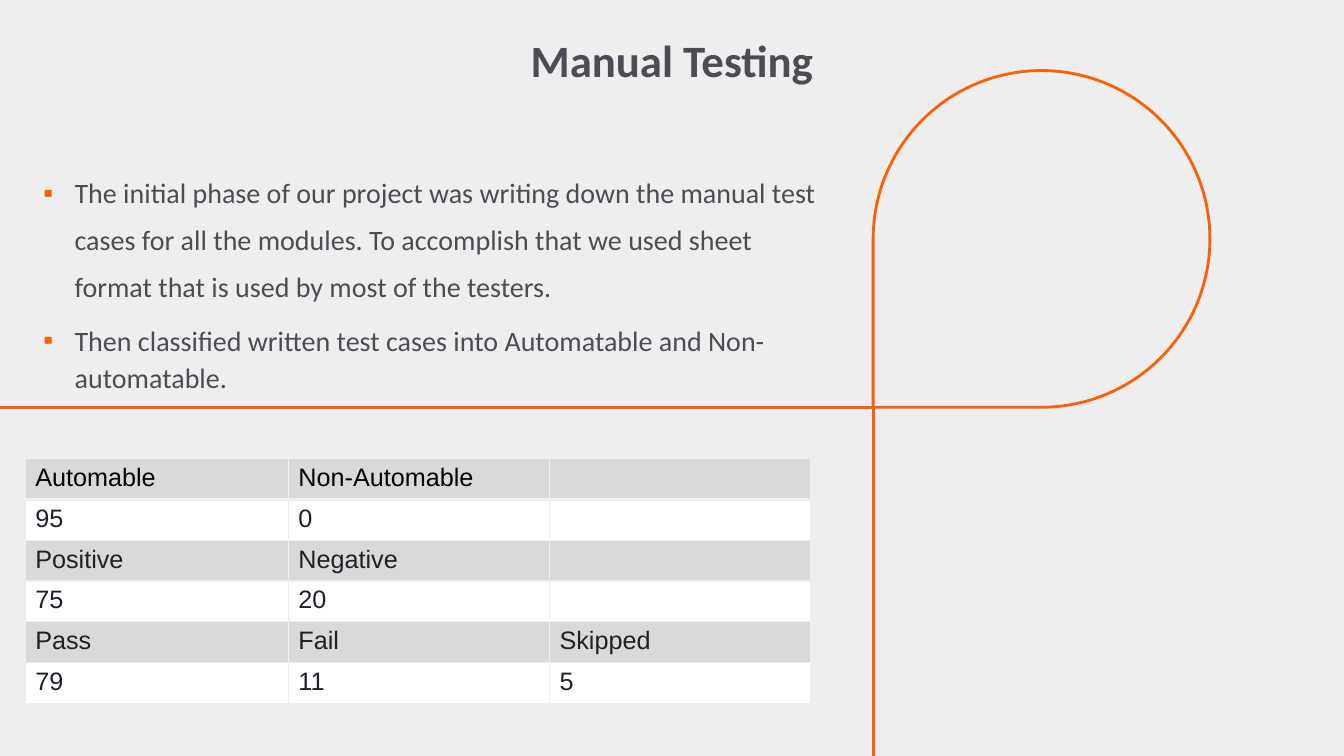
import pptx
import pptx.dml.color
import pptx.enum.shapes
import pptx.enum.text
import pptx.oxml
import pptx.oxml.ns
import pptx.util
from pptx.util import Inches, Pt

TITLE = "Manual Testing"
BULLETS = [  # text, line spacing
    ("The initial phase of our project was writing down the manual test cases for all "
     "the modules. To accomplish that we used sheet format that is used by most of "
     "the testers.", 1.4),
    ("Then classified written test cases into Automatable and Non-automatable.", 1.1),
]
RESULTS = [
    ("Automable", "Non-Automable", ""),
    ("95", "0", ""),
    ("Positive", "Negative", ""),
    ("75", "20", ""),
    ("Pass", "Fail", "Skipped"),
    ("79", "11", "5"),
]
COLORS = {
    "background": "EEEEEE", "accent": "FD5F07", "text": "4E4B54",
    "header": "000000", "cell": "231E28", "label_row": "D9D9D9", "value_row": "FFFFFF",
}
SLIDE_W, SLIDE_H = 13.33, 7.5
CORNER_X, CORNER_Y, DROP_SIZE = 8.66, 4.04, 3.34
TABLE_X, TABLE_Y, ROW_H = 0.25, 4.55, 0.405
COLUMN_WIDTHS = (2.61, 2.59, 2.59)


def rgb(name):
    return pptx.dml.color.RGBColor.from_string(COLORS[name])


def xml(markup):
    """Parse one drawing element, adding the namespace to its tag."""
    tag, rest = markup[:-2].split(" ", 1) if " " in markup else (markup[:-2], "")
    return pptx.oxml.parse_xml(f'{tag} {pptx.oxml.ns.nsdecls("a")} {rest}/>')


def style(p, size, color, font="Calibri", bold=False):
    for r in p.runs:
        r.font.size, r.font.name, r.font.bold = Pt(size), font, bold
        r.font.color.rgb = rgb(color)


def accent_line(sp):
    sp.line.color.rgb = rgb("accent")
    sp.line.width = Pt(2)


def add_rule(slide, x, y):
    """Draw a line from the teardrop's corner to a slide edge."""
    line = slide.shapes.add_connector(
        pptx.enum.shapes.MSO_CONNECTOR.STRAIGHT,
        Inches(CORNER_X), Inches(CORNER_Y), Inches(x), Inches(y))
    accent_line(line)
    line._element.spPr.append(xml("<a:effectLst/>"))


def add_text(slide, x, y, w, h):
    tf = slide.shapes.add_textbox(Inches(x), Inches(y), Inches(w), Inches(h)).text_frame
    tf.word_wrap = True
    tf.margin_left = tf.margin_right = tf.margin_top = tf.margin_bottom = 0
    return tf


def add_bullet(p):
    pPr = p._p.get_or_add_pPr()
    pPr.set("marL", str(Inches(0.31)))
    pPr.set("indent", str(-Inches(0.31)))
    color = xml("<a:buClr/>")
    color.append(xml(f'<a:srgbClr val="{COLORS["accent"]}"/>'))
    pPr.append(color)
    pPr.append(xml('<a:buFont typeface="Arial"/>'))
    pPr.append(xml('<a:buChar char="▪"/>'))


def add_borders(cell, bottom):
    tcPr = cell._tc.get_or_add_tcPr()
    for i, (side, width) in enumerate((("L", 1), ("R", 1), ("T", 1), ("B", bottom))):
        line = xml(f'<a:ln{side} w="{Pt(width)}"/>')
        fill = xml("<a:solidFill/>")
        fill.append(xml(f'<a:srgbClr val="{COLORS["background"]}"/>'))
        line.append(fill)
        tcPr.insert(i, line)


def add_results(slide):
    table = slide.shapes.add_table(
        len(RESULTS), len(COLUMN_WIDTHS), Inches(TABLE_X), Inches(TABLE_Y),
        Inches(sum(COLUMN_WIDTHS)), Inches(ROW_H * len(RESULTS))).table
    for column, width in zip(table.columns, COLUMN_WIDTHS):
        column.width = Inches(width)
    for i, values in enumerate(RESULTS):
        table.rows[i].height = Inches(ROW_H)
        for j, value in enumerate(values):
            cell = table.cell(i, j)
            cell.text = value
            style(cell.text_frame.paragraphs[0], 18, "cell" if i else "header", "Arial")
            cell.fill.solid()
            cell.fill.fore_color.rgb = rgb("value_row" if i % 2 else "label_row")
            # The heavier rule under the header is shared with the row below.
            add_borders(cell, 1 if i else 3)


def main():
    prs = pptx.Presentation()
    prs.slide_width, prs.slide_height = Inches(SLIDE_W), Inches(SLIDE_H)
    slide = prs.slides.add_slide(prs.slide_layouts[6])
    slide.background.fill.solid()
    slide.background.fill.fore_color.rgb = rgb("background")

    drop = slide.shapes.add_shape(
        pptx.enum.shapes.MSO_SHAPE.TEAR, Inches(CORNER_X), Inches(CORNER_Y - DROP_SIZE),
        Inches(DROP_SIZE), Inches(DROP_SIZE))
    drop.rotation = 180
    drop.shadow.inherit = False
    drop.fill.background()
    accent_line(drop)
    add_rule(slide, 0, CORNER_Y)
    add_rule(slide, CORNER_X, SLIDE_H)

    tf = add_text(slide, 4.65, 0.2, 4.03, 0.67)
    tf.vertical_anchor = pptx.enum.text.MSO_ANCHOR.BOTTOM
    tf.text = TITLE
    p = tf.paragraphs[0]
    p.alignment = pptx.enum.text.PP_ALIGN.CENTER
    p.line_spacing = 0.9
    style(p, 32, "text", bold=True)

    tf = add_text(slide, 0.43, 1.61, 7.68, 2.32)
    tf.text = "\n".join(text for text, _ in BULLETS)
    for p, (_, spacing) in zip(tf.paragraphs, BULLETS):
        p.line_spacing = spacing
        p.space_before = Pt(12)
        add_bullet(p)
        style(p, 20, "text")

    add_results(slide)
    prs.save("out.pptx")


if __name__ == "__main__":
    main()
